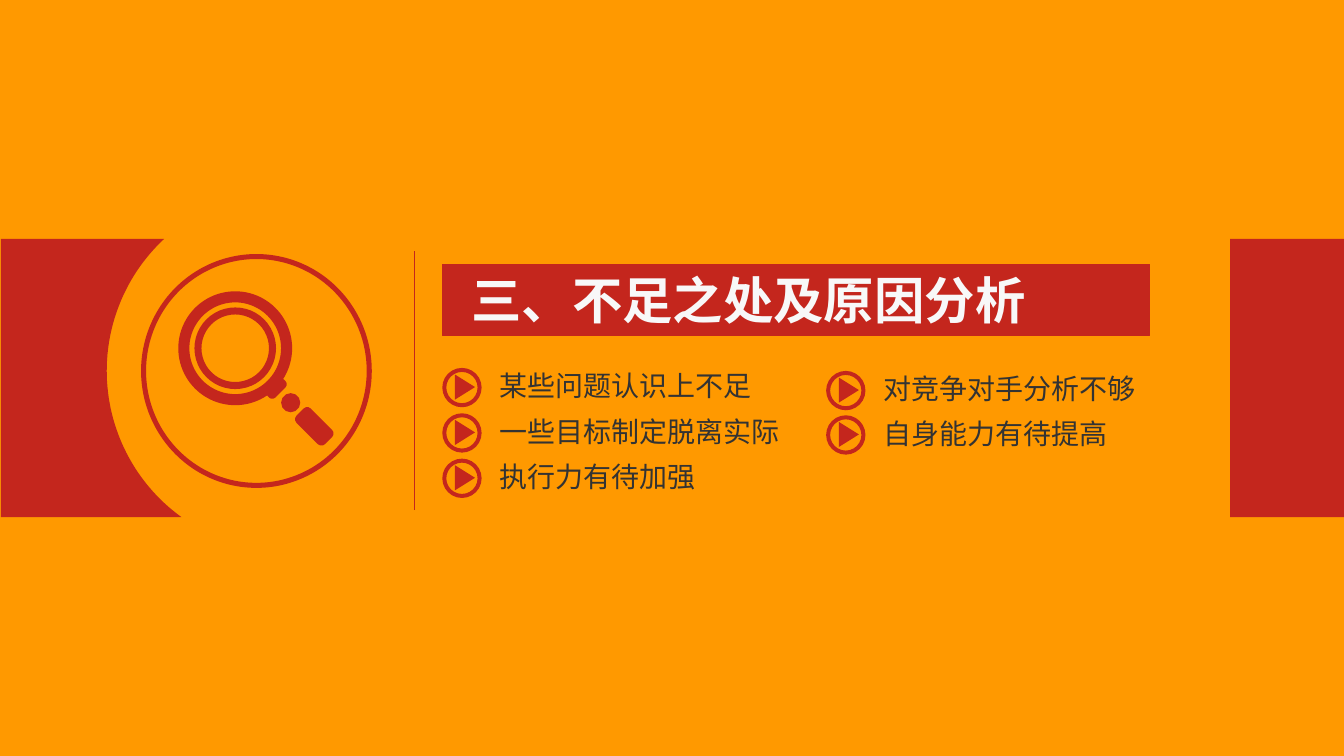
import math

import pptx
import pptx.dml.color
import pptx.enum.shapes
import pptx.enum.text
import pptx.oxml.ns
import pptx.util
from lxml import etree

PX = 9144  # EMU per px, 100 px to the inch
RED = pptx.dml.color.RGBColor(0xC4, 0x26, 0x1D)
ORANGE = pptx.dml.color.RGBColor(0xFF, 0x99, 0x00)
WHITE = pptx.dml.color.RGBColor(0xF8, 0xF8, 0xF8)
DARK = pptx.dml.color.RGBColor(0x33, 0x33, 0x33)
SHAPE = pptx.enum.shapes.MSO_SHAPE

BAND_TOP, BAND_BOTTOM = 237, 513
RING_SIZE = 39
# left, top, row pitch, items
COLUMNS = [
    (439, 365, 45, [("某些问题认识上不足", 273),
                    ("一些目标制定脱离实际", 301),
                    ("执行力有待加强", 217)]),
    (820, 368, 44, [("对竞争对手分析不够", 273),
                    ("自身能力有待提高", 245)]),
]


def paint_red(shape):
    shape.shadow.inherit = False
    shape.fill.solid()
    shape.fill.fore_color.rgb = RED
    shape.line.fill.background()


def add_red_shape(slide, kind, left, top, width, height, rotation=0, adjustment=None):
    shape = slide.shapes.add_shape(kind, left * PX, top * PX, width * PX, height * PX)
    paint_red(shape)
    shape.rotation = rotation
    if adjustment is not None:
        shape.adjustments[0] = adjustment
    return shape


def add_ring(slide, left, top, width, height, thickness):
    add_red_shape(slide, SHAPE.DONUT, left, top, width, height,
                  adjustment=thickness / min(width, height))


def add_label(slide, text, left, top, width, height, size, font_name, color,
              bold=False, wrap=False):
    box = slide.shapes.add_textbox(left * PX, top * PX, width * PX, height * PX)
    box.text_frame.word_wrap = wrap
    box.text_frame.auto_size = pptx.enum.text.MSO_AUTO_SIZE.SHAPE_TO_FIT_TEXT
    box.text_frame.text = text
    font = box.text_frame.paragraphs[0].runs[0].font
    font.size = pptx.util.Pt(size)
    font.name = font_name
    font.bold = bold
    font.color.rgb = color


def add_divider(slide, x, top, bottom):
    line = slide.shapes.add_connector(pptx.enum.shapes.MSO_CONNECTOR.STRAIGHT,
                                      x * PX, bottom * PX, x * PX, top * PX)
    line.line.color.rgb = RED
    line.line.width = pptx.util.Pt(0.75)
    etree.SubElement(line._element.spPr, pptx.oxml.ns.qn("a:effectLst"))


def add_left_panel(slide, left, center_x, center_y, radius, steps=60):
    """Band end whose right side is cut by a circle."""
    start = math.asin((BAND_TOP - center_y) / radius)
    end = math.asin((BAND_BOTTOM - center_y) / radius)
    angles = [start + (end - start) * step / steps for step in range(steps + 1)]
    arc = [(round((center_x - radius * math.cos(angle)) * PX),
            round((center_y + radius * math.sin(angle)) * PX)) for angle in angles]
    builder = slide.shapes.build_freeform(left * PX, BAND_TOP * PX)
    builder.add_line_segments(arc + [(left * PX, BAND_BOTTOM * PX)], close=True)
    paint_red(builder.convert_to_shape())


def add_magnifier(slide):
    add_ring(slide, 140, 252, 229, 232, 5)
    add_ring(slide, 177, 289, 113, 113, 11)
    add_ring(slide, 193, 305, 81, 81, 7)
    add_red_shape(slide, SHAPE.ROUNDED_RECTANGLE, 263, 380, 23, 11, -45, 0.4)
    add_red_shape(slide, SHAPE.OVAL, 279, 390, 19, 19)
    add_red_shape(slide, SHAPE.ROUNDED_RECTANGLE, 292, 413, 40, 20, 45, 0.25)


def add_item(slide, left, top, text, width):
    add_ring(slide, left, top, RING_SIZE, RING_SIZE, 4)
    add_red_shape(slide, SHAPE.ISOSCELES_TRIANGLE, left + 10, top + 9, 25, 20, 90)
    add_label(slide, text, left + 47, top - 4, width, 44, 20, "Arial", DARK)


def main():
    presentation = pptx.Presentation()
    presentation.slide_width = 1334 * PX
    presentation.slide_height = 750 * PX
    slide = presentation.slides.add_slide(presentation.slide_layouts[6])
    slide.background.fill.solid()
    slide.background.fill.fore_color.rgb = ORANGE

    title_bar = add_red_shape(slide, SHAPE.RECTANGLE, 439, 262, 702, 71)
    title_bar.line.color.rgb = RED
    title_bar.line.width = pptx.util.Pt(0.75)
    add_label(slide, "三、不足之处及原因分析", 458, 262, 591, 71, 36,
              "Noto Sans CJK SC", WHITE, bold=True, wrap=True)
    add_divider(slide, 411, 249, 506)
    add_left_panel(slide, 1, 285, 368, 179)
    add_red_shape(slide, SHAPE.RECTANGLE, 1221, BAND_TOP, 113, BAND_BOTTOM - BAND_TOP)
    for left, top, pitch, items in COLUMNS:
        for row, (text, width) in enumerate(items):
            add_item(slide, left, top + row * pitch, text, width)
    add_magnifier(slide)
    presentation.save("out.pptx")


if __name__ == "__main__":
    main()
